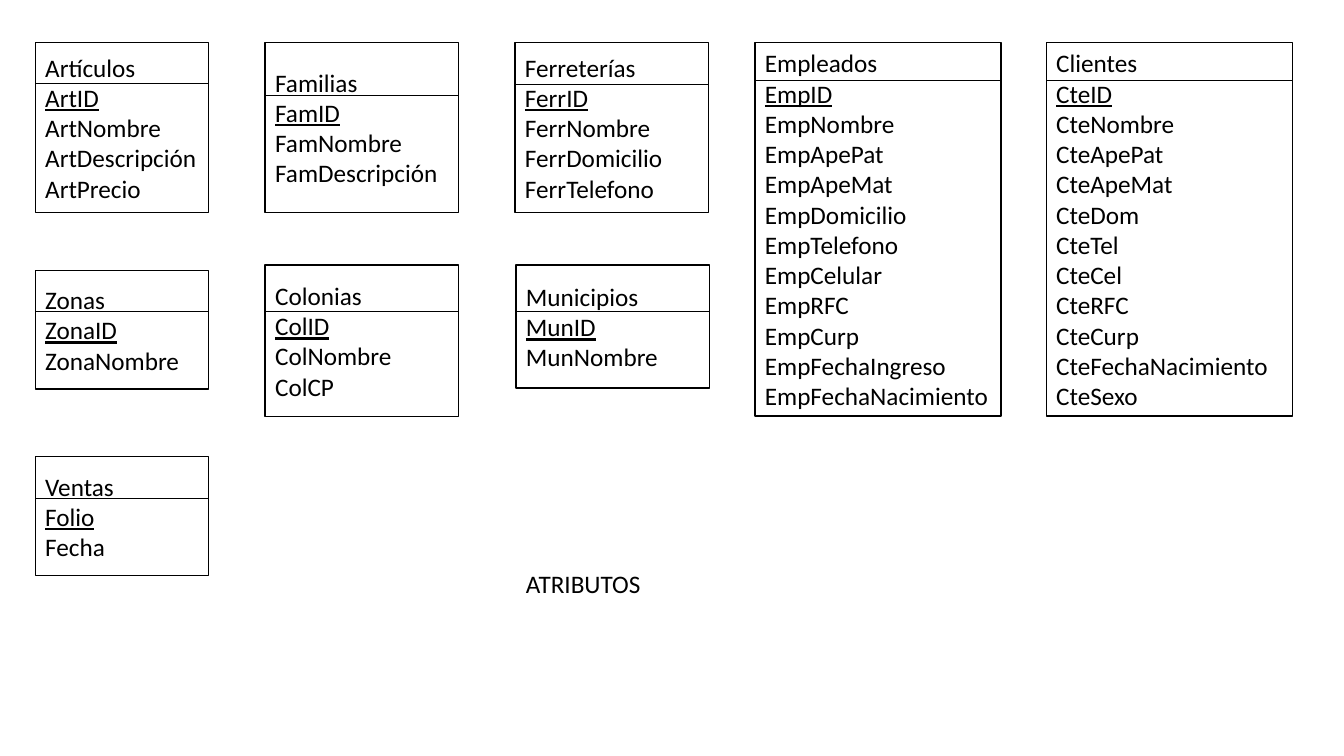
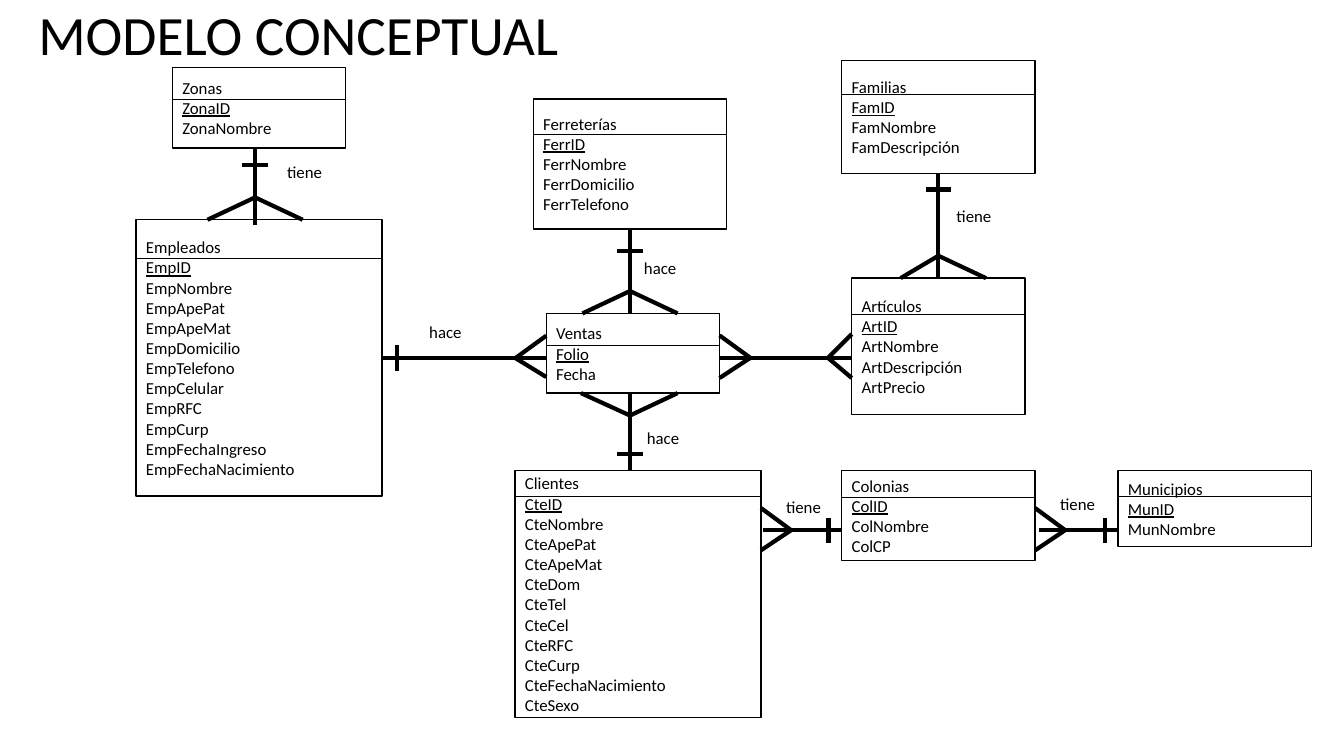
from collections import namedtuple
from dataclasses import dataclass

from pptx import Presentation
from pptx.dml.color import RGBColor
from pptx.enum import shapes, text
from pptx.oxml import parse_xml
from pptx.oxml.ns import nsdecls
from pptx.util import Pt

# ---- Content: entity -> (box width, attributes, key first) ----
ENTITIES = {
    "Artículos": (123.8, ["ArtID", "ArtNombre", "ArtDescripción", "ArtPrecio"]),
    "Familias": (138.2, ["FamID", "FamNombre", "FamDescripción"]),
    "Ferreterías": (138.2, ["FerrID", "FerrNombre", "FerrDomicilio", "FerrTelefono"]),
    "Empleados": (175.7, ["EmpID", "EmpNombre", "EmpApePat", "EmpApeMat",
                          "EmpDomicilio", "EmpTelefono", "EmpCelular", "EmpRFC",
                          "EmpCurp", "EmpFechaIngreso", "EmpFechaNacimiento"]),
    "Clientes": (175.7, ["CteID", "CteNombre", "CteApePat", "CteApeMat", "CteDom",
                         "CteTel", "CteCel", "CteRFC", "CteCurp",
                         "CteFechaNacimiento", "CteSexo"]),
    "Zonas": (123.8, ["ZonaID", "ZonaNombre"]),
    "Colonias": (138.2, ["ColID", "ColNombre", "ColCP"]),
    "Municipios": (138.2, ["MunID", "MunNombre"]),
    "Ventas": (123.8, ["Folio", "Fecha"]),
}

# Entity -> left, top, height, heading height
ATTRIBUTE_PLACES = {
    "Artículos": (25.2, 30.2, 121.7, 29.5),
    "Familias": (189.4, 30.2, 121.7, 37.8),
    "Ferreterías": (367.9, 30.2, 121.7, 29.9),
    "Empleados": (539.3, 30.2, 267, 27.2),
    "Clientes": (747.4, 30.2, 267, 27.2),
    "Zonas": (25.2, 193, 85, 29.7),
    "Colonias": (189.4, 189.4, 108, 33.3),
    "Municipios": (368.6, 189.4, 87.8, 33.3),
    "Ventas": (25.2, 326.2, 85, 29.5),
}
MODEL_PLACES = {
    "Clientes": (367.9, 336.2, 176.4, 18),
    "Colonias": (601.2, 336.2, 64.1, 19.3),
    "Municipios": (798.5, 336.2, 54, 18),
    "Ventas": (390.2, 223.9, 56.9, 23),
    "Empleados": (97.2, 157, 197.3, 27.3),
    "Zonas": (123.1, 48.2, 57.6, 23),
    "Familias": (601.2, 43.2, 80.6, 24.5),
    "Artículos": (608.4, 198.7, 97.2, 26),
    "Ferreterías": (380.9, 70.6, 92.9, 25.2),
}

One = namedtuple("One", "distance")
Many = namedtuple("Many", "depth before after reach", defaults=(0,))
Link = namedtuple("Link", "first last vertical axis first_end last_end label label_at")

LINKS = [
    Link("Zonas", "Empleados", True, 182.2, One(12), Many(16, 34, 34, 3.6),
         "tiene", (198, 112.3)),
    Link("Familias", "Artículos", True, 670.3, One(11.5), Many(16, 27, 34),
         "tiene", (676.1, 143.3)),
    Link("Ferreterías", "Ventas", True, 450, One(16), Many(16, 34, 34),
         "hace", (452.9, 180.7)),
    Link("Ventas", "Clientes", True, 450, Many(16, 35, 34), One(12),
         "hace", (455, 301.7)),
    Link("Empleados", "Ventas", False, 255.8, One(10.8), Many(22, 16, 13.5),
         "hace", (299.5, 226.1)),
    Link("Ventas", "Artículos", False, 255.6, Many(22, 16, 14.4), Many(17, 17, 14.4),
         None, None),
    Link("Clientes", "Colonias", False, 378.7, Many(21.5, 15.8, 14.4, -1.5), One(9.4),
         "tiene", (554.4, 351.4)),
    Link("Colonias", "Municipios", False, 378.7, Many(21.5, 15.8, 14.4, -3), One(9.4),
         "tiene", (750.2, 349.2)),
]


@dataclass(frozen=True)
class Theme:
    """Colours, font, type sizes and line widths shared by the slides."""
    ink: RGBColor = RGBColor(0, 0, 0)
    paper: RGBColor = RGBColor(255, 255, 255)
    font: str = "Calibri"
    title: float = 39.6
    large: float = 18
    small: float = 12
    border: float = 1
    divider: float = 0.5
    link: float = 3
    tick: float = 9


THEME = Theme()


def write(frame, lines, size, anchor=text.MSO_ANCHOR.TOP, spacing=None,
          underlined=None, fit=text.MSO_AUTO_SIZE.NONE):
    """Fill a text frame with one left-aligned paragraph per line."""
    frame.word_wrap = True
    frame.auto_size = fit
    frame.vertical_anchor = anchor
    for index, line in enumerate(lines):
        paragraph = frame.add_paragraph() if index else frame.paragraphs[0]
        paragraph.alignment = text.PP_ALIGN.LEFT
        if spacing:
            paragraph.line_spacing = spacing
        run = paragraph.add_run()
        run.text = line
        run.font.name, run.font.size = THEME.font, Pt(size)
        run.font.color.rgb = THEME.ink
        if index == underlined:
            run.font.underline = True


def add_line(slide, start, end, width):
    """Draw a straight line between two points, without shadow."""
    line = slide.shapes.add_connector(
        shapes.MSO_CONNECTOR.STRAIGHT, *(Pt(value) for value in (*start, *end)))
    line.line.color.rgb = THEME.ink
    line.line.width = Pt(width)
    line._element.spPr.append(parse_xml(f"<a:effectLst {nsdecls('a')}/>"))


def add_label(slide, label, left, top, width, height, size):
    """Place a free text label."""
    box = slide.shapes.add_textbox(Pt(left), Pt(top), Pt(width), Pt(height))
    write(box.text_frame, [label], size, fit=text.MSO_AUTO_SIZE.SHAPE_TO_FIT_TEXT)


def add_entities(slide, places, size):
    """Draw each entity box with its heading divider and underlined key."""
    for name, (left, top, height, heading) in places.items():
        width, attributes = ENTITIES[name]
        entity = slide.shapes.add_shape(
            shapes.MSO_SHAPE.RECTANGLE, Pt(left), Pt(top), Pt(width), Pt(height))
        entity.shadow.inherit = False
        entity.fill.solid()
        entity.fill.fore_color.rgb = THEME.paper
        entity.line.color.rgb = THEME.ink
        entity.line.width = Pt(THEME.border)
        write(entity.text_frame, [name, *attributes], size,
              anchor=text.MSO_ANCHOR.MIDDLE, underlined=1)
        divider = top + heading
        add_line(slide, (left, divider), (left + width, divider), THEME.divider)


def add_link(slide, link):
    """Join two entities, with a tick for one and a crow's foot for many."""
    def point(along, across):
        """Turn a position along and across the link into x and y."""
        cross = link.axis + across
        return (cross, along) if link.vertical else (along, cross)

    left, top, height, _ = MODEL_PLACES[link.first]
    start = top + height if link.vertical else left + ENTITIES[link.first][0]
    finish = MODEL_PLACES[link.last][1 if link.vertical else 0]
    ends = ((start, 1, link.first_end), (finish, -1, link.last_end))

    tips = [edge - way * getattr(end, "reach", 0) for edge, way, end in ends]
    add_line(slide, point(tips[0], 0), point(tips[1], 0), THEME.link)
    for edge, way, end in ends:
        if isinstance(end, One):
            along = edge + way * end.distance
            add_line(slide, point(along, -THEME.tick), point(along, THEME.tick),
                     THEME.link)
        else:
            apex = point(edge + way * end.depth, 0)
            for across in (-end.before, end.after):
                add_line(slide, apex, point(edge, across), THEME.link)
    if link.label:
        add_label(slide, link.label, *link.label_at, 48, 21.8, THEME.small)


def build_attributes(deck):
    """Build the slide that lists the attributes of every entity."""
    slide = deck.slides.add_slide(deck.slide_layouts[6])
    add_entities(slide, ATTRIBUTE_PLACES, THEME.large)
    add_label(slide, "ATRIBUTOS", 368.6, 402.5, 183.6, 29, THEME.large)


def build_model(deck):
    """Build the slide with the conceptual model."""
    slide = deck.slides.add_slide(deck.slide_layouts[5])
    title = slide.shapes.title
    title.left, title.top, title.width, title.height = Pt(20.2), Pt(0), Pt(828), Pt(54)
    write(title.text_frame, ["MODELO CONCEPTUAL"], THEME.title,
          anchor=text.MSO_ANCHOR.MIDDLE, spacing=0.9)
    add_entities(slide, MODEL_PLACES, THEME.small)
    for link in LINKS:
        add_link(slide, link)


deck = Presentation()
deck.slide_width, deck.slide_height = Pt(960), Pt(540)
build_attributes(deck)
build_model(deck)
deck.save("out.pptx")
